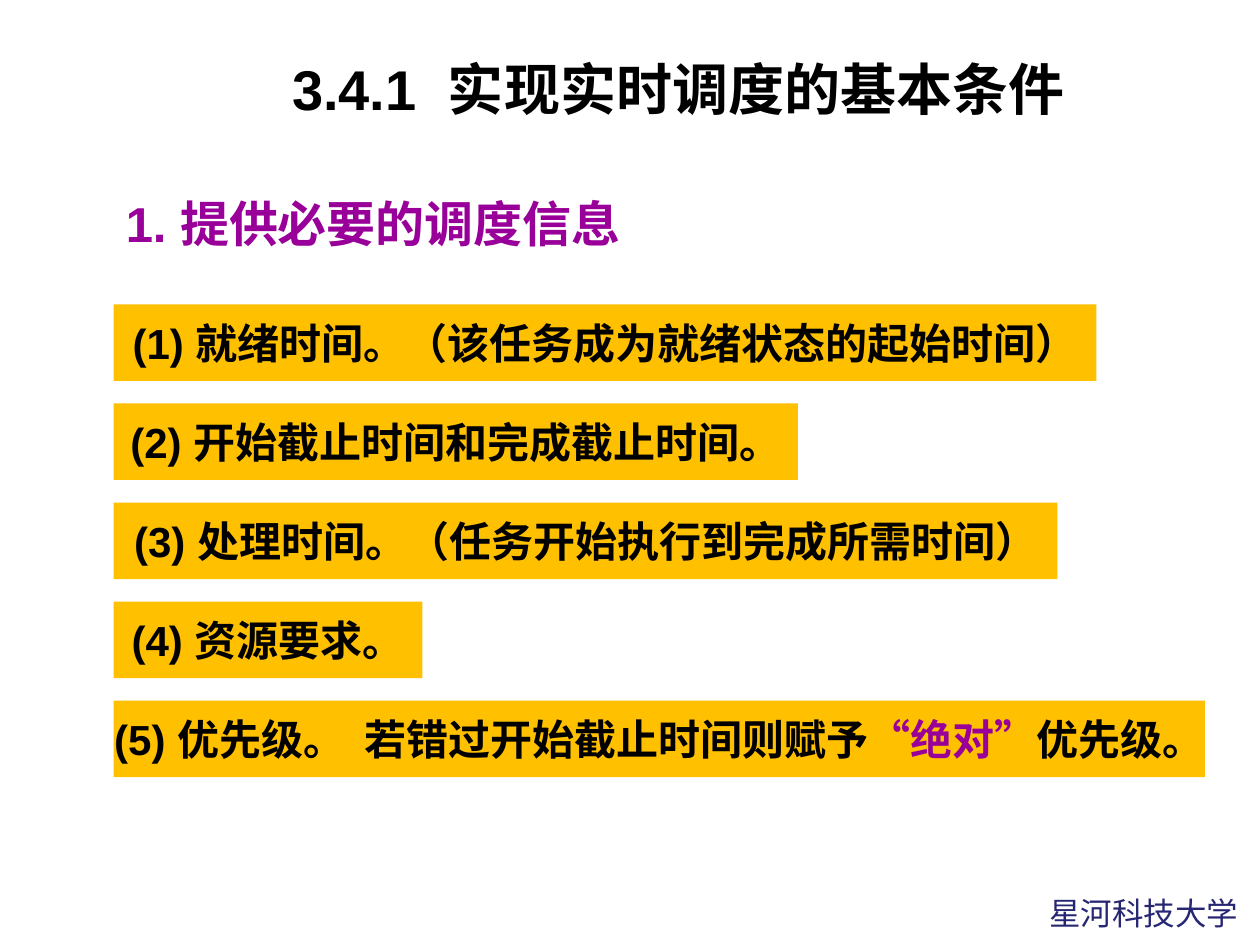
from pptx import Presentation
from pptx.dml.color import RGBColor
from pptx.enum.shapes import MSO_SHAPE as Shape
from pptx.enum.text import MSO_ANCHOR as Anchor, PP_ALIGN as Align
from pptx.util import Pt

COLORS = {"ink": "000000", "accent": "990099", "bar": "FFC000", "footer": "262673"}


class SlideBuilder:
    """Hold the text style and the current slide, and add elements to it."""

    def __init__(self, page, font="Arial"):
        self.page = page
        self.font = font

    def add_text(self, frame, runs, size, bold=True, align=Align.LEFT,
                 anchor=Anchor.TOP, wrap=False):
        frame.word_wrap = wrap
        frame.vertical_anchor = anchor
        para = frame.paragraphs[0]
        para.alignment = align
        for text, color in runs:
            span = para.add_run()
            span.text = text
            span.font.name = self.font
            span.font.size = Pt(size)
            span.font.bold = bold
            span.font.color.rgb = RGBColor.from_string(COLORS[color])

    def add_label(self, place, runs, size, **style):
        box = self.page.shapes.add_textbox(*map(Pt, place))
        self.add_text(box.text_frame, runs, size, **style)

    def add_bar(self, place, runs, size):
        box = self.page.shapes.add_shape(Shape.RECTANGLE, *map(Pt, place))
        box.shadow.inherit = False
        box.fill.solid()
        box.fill.fore_color.rgb = RGBColor.from_string(COLORS["bar"])
        box.line.fill.background()
        self.add_text(box.text_frame, runs, size, align=Align.CENTER, anchor=Anchor.MIDDLE)


def main():
    deck = Presentation()
    deck.slide_width, deck.slide_height = Pt(720), Pt(540)
    builder = SlideBuilder(deck.slides.add_slide(deck.slide_layouts[6]))

    builder.add_label((592.6, 507.6, 124.6, 28.8), [("星河科技大学", "footer")], 18, bold=False)
    builder.add_label((82.8, 28.8, 609.8, 43.2), [("3.4.1  实现实时调度的基本条件", "ink")], 32,
                      align=Align.CENTER, anchor=Anchor.MIDDLE, wrap=True)
    builder.add_label((64.8, 107.3, 311.8, 41), [("1. 提供必要的调度信息", "accent")], 28)

    left, top, height, pitch = 65, 174, 43.7, 56.6
    conditions = [
        (561.6, [("(1) 就绪时间。（该任务成为就绪状态的起始时间）", "ink")]),
        (391, [("(2) 开始截止时间和完成截止时间。", "ink")]),
        (539.3, [("(3) 处理时间。（任务开始执行到完成所需时间）", "ink")]),
        (176.4, [("(4) 资源要求。", "ink")]),
        (623.5, [("(5) 优先级。  若错过开始截止时间则赋予", "ink"),
                 ("“绝对”", "accent"), ("优先级。", "ink")]),
    ]
    for row, (width, runs) in enumerate(conditions):
        builder.add_bar((left, top + row * pitch, width, height), runs, 24)

    deck.save("out.pptx")


if __name__ == "__main__":
    main()
